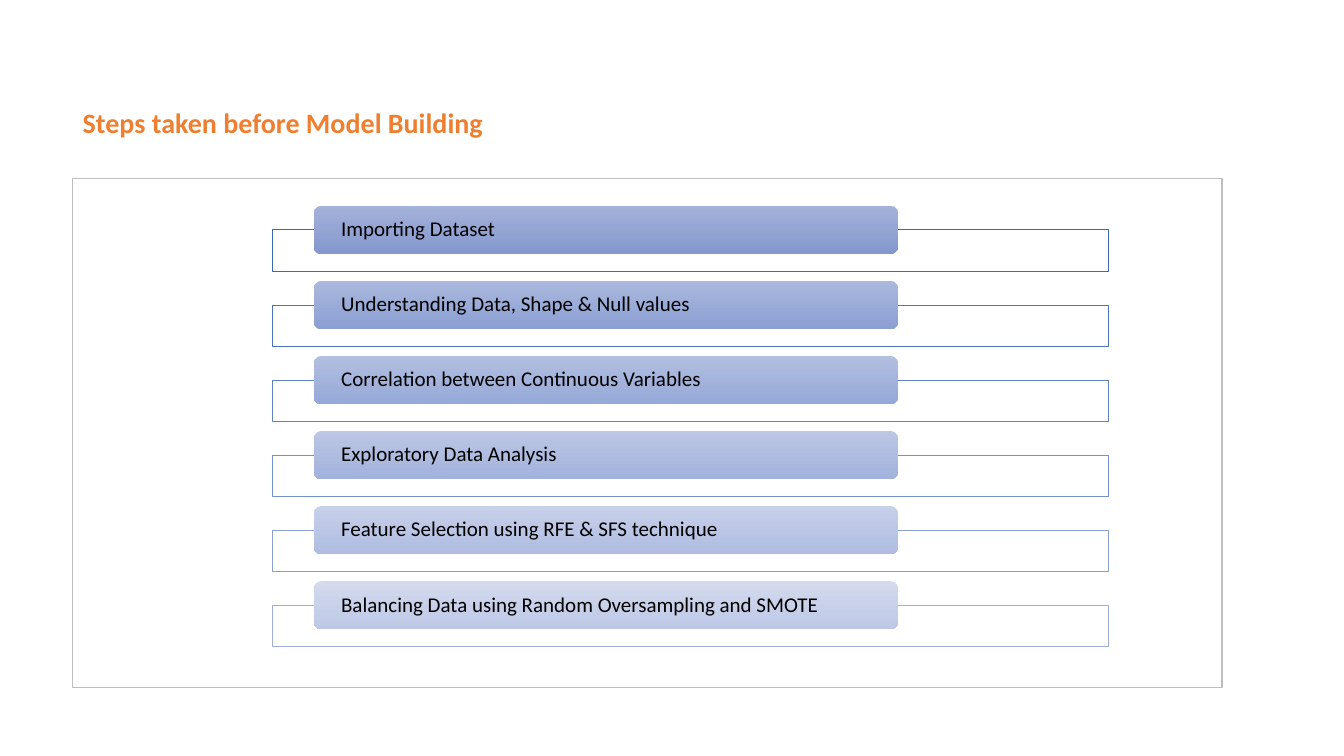
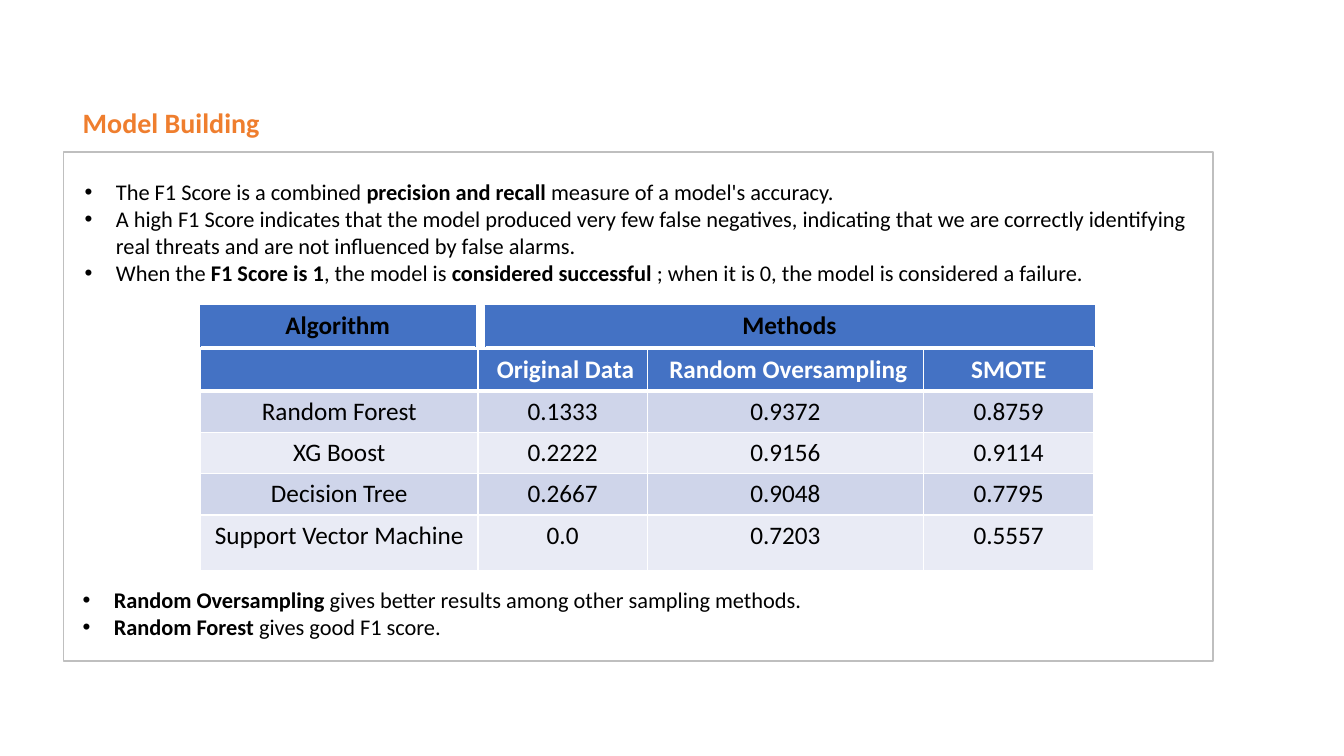
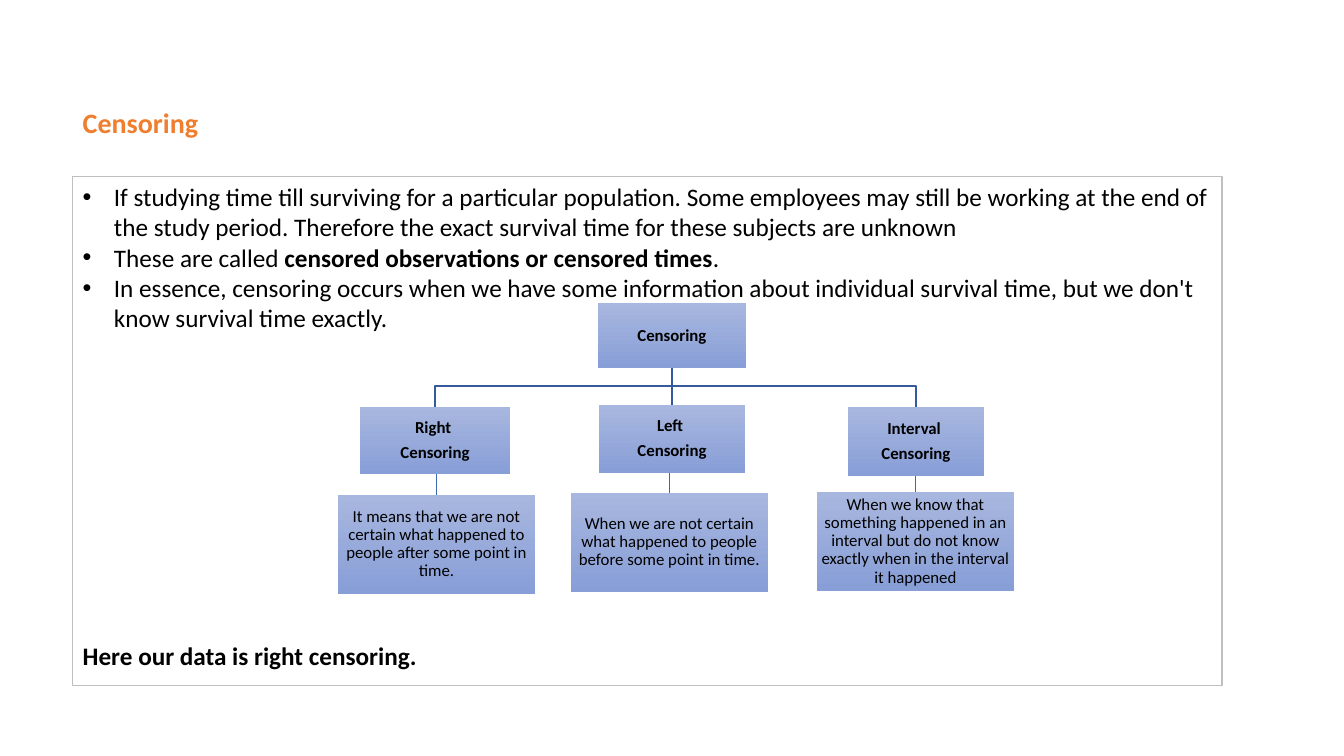
from lxml import etree
from pptx import Presentation
from pptx.dml.color import RGBColor
from pptx.enum.shapes import MSO_CONNECTOR, MSO_SHAPE
from pptx.enum.text import MSO_ANCHOR, MSO_AUTO_SIZE, PP_ALIGN
from pptx.oxml.ns import qn
from pptx.util import Inches, Pt

RECT, ROUND_RECT = MSO_SHAPE.RECTANGLE, MSO_SHAPE.ROUNDED_RECTANGLE
TOP, MIDDLE = MSO_ANCHOR.TOP, MSO_ANCHOR.MIDDLE
LEFT, CENTER = PP_ALIGN.LEFT, PP_ALIGN.CENTER
STRAIGHT = MSO_CONNECTOR.STRAIGHT

FONT = "Calibri"
BLACK, WHITE, ORANGE, GREY = "000000", "FFFFFF", "EF7E2E", "BFBFBF"
BLUE, BANDS = "4472C4", ("CFD5EA", "E9EBF5")
BOX_GRADIENT = ("A8B7DF", "889ED7")
BRANCH_LINE, LEAF_LINE = "365B9D", "3E67B2"
PANEL_W, PANEL_H = 11.4, 5.05
INDENT = 0.31

# Text between ** marks is bold.
STEPS = [  # text, outline, gradient top, gradient bottom
    ("Importing Dataset", "3E67B2", "A4B2D9", "8497CE"),
    ("Understanding Data, Shape & Null values", "4C73BF", "AAB8DC", "8B9FD3"),
    ("Correlation between Continuous Variables", "6181C5", "B3BFE0", "95A8D7"),
    ("Exploratory Data Analysis", "7690CB", "BCC7E4", "A2B2DC"),
    ("Feature Selection using RFE & SFS technique", "8B9FD1", "C7D0E9", "B0BDE1"),
    ("Balancing Data using Random Oversampling and SMOTE", "9FAED8", "D3DAED", "BEC8E6"),
]
F1_NOTES = [
    "The F1 Score is a combined **precision and recall** measure of a model's accuracy.",
    "A high F1 Score indicates that the model produced very few false negatives, indicating "
    "that we are correctly identifying real threats and are not influenced by false alarms.",
    "When the **F1 Score is 1**, the model is **considered successful **; when it is 0, "
    "the model is considered a failure.",
]
F1_FINDINGS = [
    "**Random Oversampling** gives better results among other sampling methods.",
    "**Random Forest** gives good F1 score.",
]
SCORES = [
    ("", " Original Data", " Random Oversampling", "SMOTE"),
    ("Random Forest", "0.1333", "0.9372", "0.8759"),
    ("XG Boost", "0.2222", "0.9156", "0.9114"),
    ("Decision Tree", "0.2667", "0.9048", "0.7795"),
    ("Support Vector Machine", "0.0", "0.7203", "0.5557"),
]
SCORE_COLS = (2.75, 1.68, 2.74, 1.69)
SCORE_ROWS = (0.41, 0.41, 0.41, 0.41, 0.55)
SCORE_HEADS = [("Algorithm", 1.99, 2.72), ("Methods", 4.81, 6.04)]
CENSORING_NOTES = [
    "If studying time till surviving for a particular population. Some employees may still "
    "be working at the end of the study period. Therefore the exact survival time for these "
    "subjects are unknown",
    "These are called **censored observations or censored times**.",
    "In essence, censoring occurs when we have some information about individual survival "
    "time, but we don't know survival time exactly.",
]
CENSORING_RESULT = "**Here our data is right censoring.**"
ROOT = ("**Censoring**", (5.93, 3.01, 1.47, 0.64))
KINDS = [  # name, name box, meaning, meaning box
    ("Right ", (3.57, 4.04, 1.49, 0.66),
     "It means that we are not certain what happened to people after some point in time.",
     (3.35, 4.91, 1.96, 0.98)),
    ("Left ", (5.94, 4.02, 1.45, 0.67),
     "When we are not certain what happened to people before some point in time.",
     (5.66, 4.89, 1.96, 0.98)),
    ("Interval ", (8.41, 4.04, 1.35, 0.68),
     "When we know that something happened in an interval but do not know exactly when "
     "in the interval it happened",
     (8.1, 4.88, 1.96, 0.98)),
]


def rgb(hex_color):
    return RGBColor.from_string(hex_color)


def inches(values):
    return [Inches(v) for v in values]


def add_runs(p, text, size, color=BLACK):
    for i, part in enumerate(text.split("**")):
        if part:
            r = p.add_run()
            r.text = part
            r.font.name, r.font.size = FONT, Pt(size)
            r.font.bold = i % 2 == 1
            r.font.color.rgb = rgb(color)


def write(tf, lines, size, color=BLACK, align=LEFT, anchor=TOP, spacing=1.0, after=0):
    tf.word_wrap = True
    tf.auto_size = MSO_AUTO_SIZE.NONE
    tf.vertical_anchor = anchor
    for i, text in enumerate(lines):
        p = tf.add_paragraph() if i else tf.paragraphs[0]
        p.alignment, p.line_spacing = align, spacing
        p.space_before, p.space_after = Pt(0), Pt(after)
        add_runs(p, text, size, color)


def set_bullet(p, char="•"):
    """Give the paragraph a hanging bullet, or none when char is empty."""
    pPr = p._p.get_or_add_pPr()
    hang = Inches(INDENT) if char else 0
    pPr.set("marL", str(hang))
    pPr.set("indent", str(-hang))
    if char:
        etree.SubElement(pPr, qn("a:buFont")).set("typeface", "Arial")
        etree.SubElement(pPr, qn("a:buChar")).set("char", char)
    else:
        etree.SubElement(pPr, qn("a:buNone"))


def write_list(tf, lines, size):
    write(tf, lines, size)
    for p in tf.paragraphs:
        set_bullet(p)


def add_box(slide, box, preset=RECT, fill=WHITE, line=None, width=1):
    """Add a shape; a pair of colours as fill makes a top-down gradient."""
    sp = slide.shapes.add_shape(preset, *inches(box))
    sp.shadow.inherit = False
    if isinstance(fill, tuple):
        sp.fill.gradient()
        sp.fill.gradient_angle = 270
        for stop, color in zip(sp.fill.gradient_stops, fill):
            stop.color.rgb = rgb(color)
    else:
        sp.fill.solid()
        sp.fill.fore_color.rgb = rgb(fill)
    if line:
        sp.line.color.rgb, sp.line.width = rgb(line), Pt(width)
    else:
        sp.line.fill.background()
    return sp


def place(shape, box):
    shape.left, shape.top, shape.width, shape.height = inches(box)


def add_slide(prs, title, panel_at, body_box=None):
    """Add a slide with title, framed panel and, if a box is given, a body on the panel."""
    slide = prs.slides.add_slide(prs.slide_layouts[1 if body_box else 5])
    place(slide.shapes.title, (0.72, 0.9, PANEL_W, 0.66))
    write(slide.shapes.title.text_frame, [f"**{title}**"], 20, ORANGE,
          anchor=MIDDLE, spacing=0.9)
    panel = add_box(slide, (*panel_at, PANEL_W, PANEL_H), line=GREY)
    if body_box:
        body = slide.placeholders[1]
        place(body, body_box)
        body.element.addprevious(panel.element)
    return slide


def add_table(slide, left, top, cols, rows):
    table = slide.shapes.add_table(len(rows), len(cols), *inches(
        (left, top, sum(cols), sum(rows)))).table
    for col, width in zip(table.columns, cols):
        col.width = Inches(width)
    for row, height in zip(table.rows, rows):
        row.height = Inches(height)
    return table


def fill_cell(cell, text, fill, color, borders):
    """Borders maps the sides L, R, T, B, in that order, to (colour, points)."""
    tcPr = cell._tc.get_or_add_tcPr()
    for side, (line, width) in borders.items():
        ln = etree.SubElement(tcPr, qn(f"a:ln{side}"), w=str(Pt(width)))
        solid = etree.SubElement(ln, qn("a:solidFill"))
        etree.SubElement(solid, qn("a:srgbClr")).set("val", line)
    cell.fill.solid()
    cell.fill.fore_color.rgb = rgb(fill)
    p = cell.text_frame.paragraphs[0]
    p.alignment = CENTER
    add_runs(p, text, 18, color)


def add_line(slide, start, end, color):
    line = slide.shapes.add_connector(STRAIGHT, *inches((*start, *end)))
    line.line.color.rgb, line.line.width = rgb(color), Pt(1)
    etree.SubElement(line.element.spPr, qn("a:effectLst"))
    return line


def add_elbow(slide, points, color):
    (x, y), *rest = points
    builder = slide.shapes.build_freeform(Inches(x), Inches(y))
    builder.add_line_segments([inches(pt) for pt in rest], close=False)
    sp = builder.convert_to_shape()
    sp.shadow.inherit = False
    sp.fill.background()
    sp.line.color.rgb, sp.line.width = rgb(color), Pt(1)


def add_node(slide, lines, box):
    sp = add_box(slide, box, fill=BOX_GRADIENT)
    tf = sp.text_frame
    tf.margin_left = tf.margin_right = tf.margin_top = tf.margin_bottom = Inches(0.01)
    write(tf, lines, 12, align=CENTER, anchor=MIDDLE, spacing=0.9, after=5)
    return sp


def top_mid(box):
    return box[0] + box[2] / 2, box[1]


def bottom_mid(box):
    return box[0] + box[2] / 2, box[1] + box[3]


def steps_slide(prs):
    slide = add_slide(prs, "Steps taken before Model Building", (0.72, 1.77))
    pitch = 0.745
    for i, (text, line, *gradient) in enumerate(STEPS):
        y = 2.28 + i * pitch
        add_box(slide, (2.7, y, 8.29, 0.41), line=line, width=0.5)
        label = add_box(slide, (3.11, y - 0.24, 5.8, 0.48), ROUND_RECT, tuple(gradient))
        tf = label.text_frame
        tf.margin_left = tf.margin_right = Inches(0.25)
        tf.margin_top = tf.margin_bottom = 0
        write(tf, [text], 15, anchor=MIDDLE, spacing=0.9)


def model_slide(prs):
    slide = add_slide(prs, "Model Building", (0.63, 1.51), (0.74, 1.72, 11.21, 1.45))
    write_list(slide.placeholders[1].text_frame, F1_NOTES, 16)

    table = add_table(slide, 1.99, 3.47, SCORE_COLS, SCORE_ROWS)
    for i, row in enumerate(SCORES):
        head = i == 0
        borders = dict.fromkeys("LRTB", (WHITE, 1))
        if head:
            borders["B"] = (WHITE, 3)
        elif i == 1:
            borders["T"] = (WHITE, 3)
        for j, value in enumerate(row):
            fill_cell(table.cell(i, j), f"**{value}**" if head else value,
                      BLUE if head else BANDS[(i - 1) % 2],
                      WHITE if head else BLACK, borders)

    borders = dict.fromkeys("LRT", (BLUE, 0.5)) | {"B": (WHITE, 1)}
    for text, left, width in SCORE_HEADS:
        table = add_table(slide, left, 3.03, [width], [0.4])
        fill_cell(table.cell(0, 0), f"**{text}**", BLUE, BLACK, borders)

    findings = slide.shapes.add_textbox(*inches((0.72, 5.77, 9.85, 0.64)))
    write_list(findings.text_frame, F1_FINDINGS, 16)


def censoring_slide(prs):
    panel_at = (0.72, 1.75)
    slide = add_slide(prs, "Censoring", panel_at, (*panel_at, PANEL_W, PANEL_H))
    tf = slide.placeholders[1].text_frame
    write_list(tf, CENSORING_NOTES, 18)
    p = tf.add_paragraph()
    p.line_spacing, p.space_before = 1.0, Pt(220)
    set_bullet(p, "")
    add_runs(p, CENSORING_RESULT, 18)

    root_text, root_box = ROOT
    root = add_node(slide, [root_text], root_box)
    start, bus_y = bottom_mid(root_box), 3.83
    for name, name_box, meaning, meaning_box in KINDS:
        kind = add_node(slide, [f"**{name}**", "**Censoring**"], name_box)
        leaf = add_node(slide, [meaning], meaning_box)
        end = top_mid(name_box)
        if abs(end[0] - start[0]) < 0.01:
            trunk = add_line(slide, start, end, BRANCH_LINE)
            trunk.begin_connect(root, 2)
            trunk.end_connect(kind, 0)
        else:
            add_elbow(slide, [start, (start[0], bus_y), (end[0], bus_y), end], BRANCH_LINE)
        leaf_top = top_mid(meaning_box)
        stem = add_line(slide, (leaf_top[0], bottom_mid(name_box)[1]), leaf_top, LEAF_LINE)
        stem.end_connect(leaf, 0)


def main():
    prs = Presentation()
    prs.slide_width, prs.slide_height = Inches(13.33), Inches(7.5)
    steps_slide(prs)
    model_slide(prs)
    censoring_slide(prs)
    prs.save("out.pptx")


if __name__ == "__main__":
    main()
